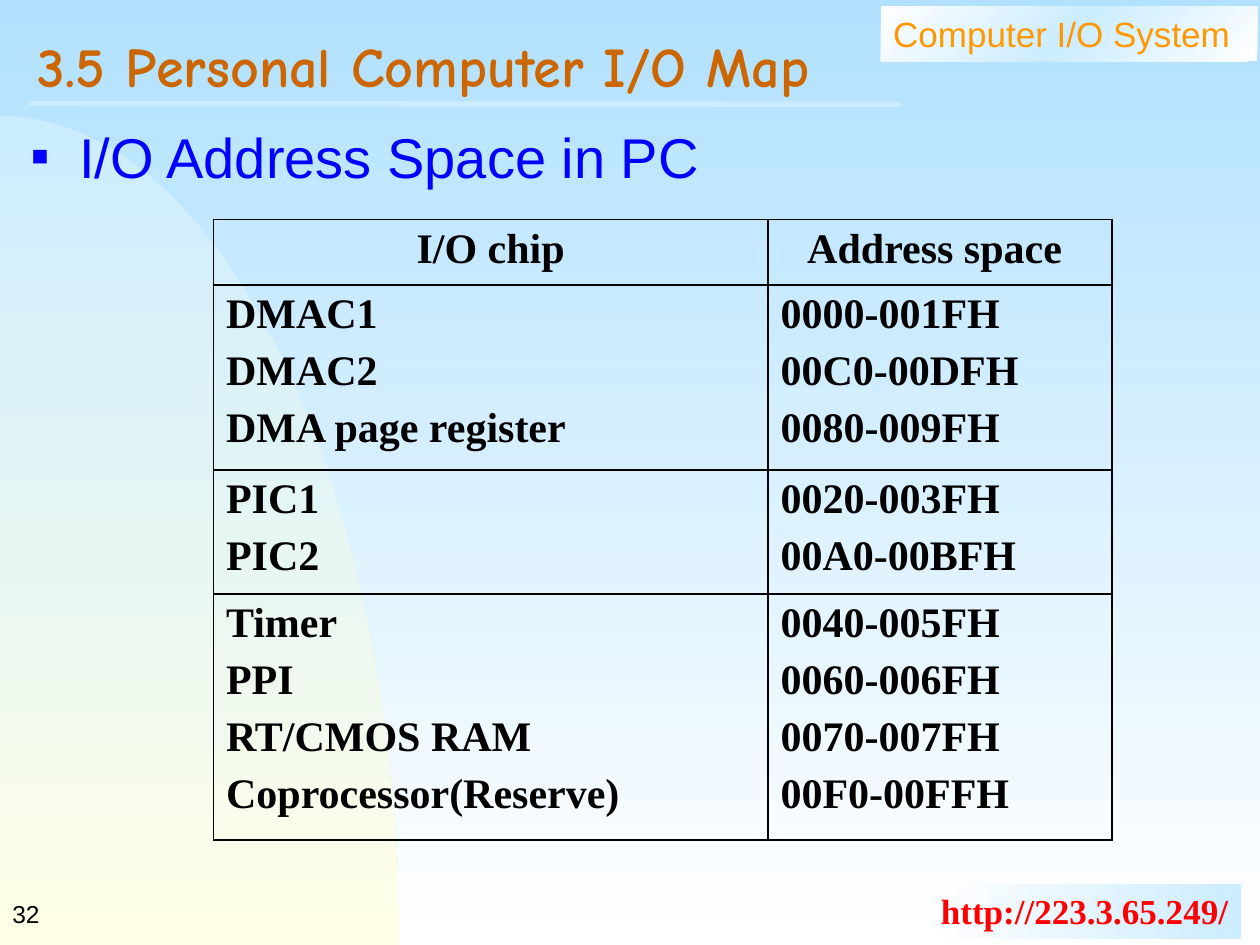
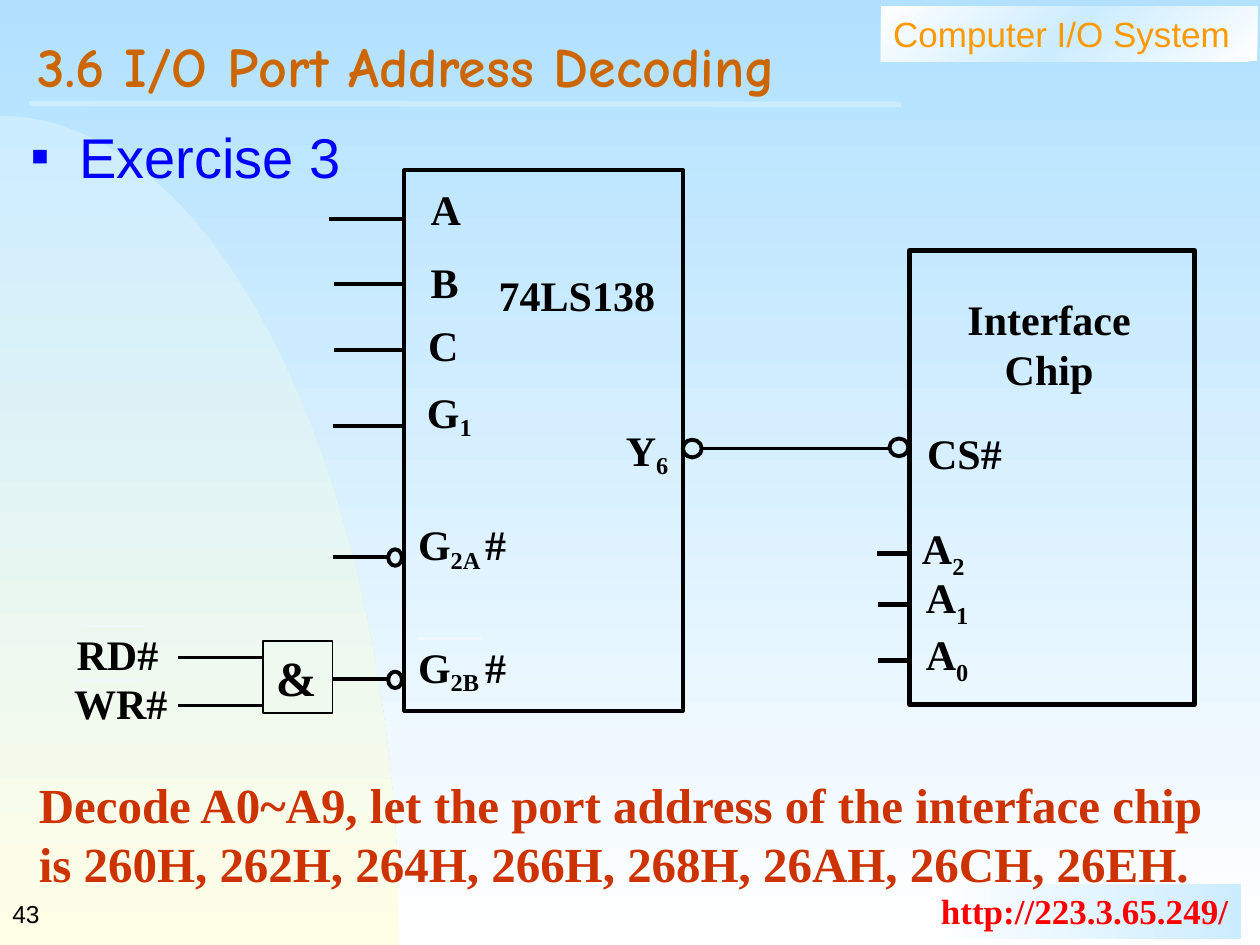
from math import cos, pi, sin

from lxml.etree import SubElement
from pptx import Presentation
from pptx.dml.color import RGBColor
from pptx.enum.shapes import MSO_CONNECTOR, MSO_SHAPE
from pptx.enum.text import MSO_ANCHOR, MSO_AUTO_SIZE, PP_ALIGN
from pptx.oxml.ns import qn
from pptx.util import Pt

SKY = RGBColor(0xB1, 0xE1, 0xFF)
ICE = RGBColor(0xCC, 0xEC, 0xFF)
MIST = RGBColor(0xF0, 0xF8, 0xFE)
CREAM = RGBColor(0xFF, 0xFF, 0xE7)
WHITE = RGBColor(0xFF, 0xFF, 0xFF)
BLACK = RGBColor(0, 0, 0)
BLUE = RGBColor(0, 0, 0xFF)
RED = RGBColor(0xFF, 0, 0)
RUST = RGBColor(0xCC, 0x33, 0)
BROWN = RGBColor(0xCC, 0x66, 0)
AMBER = RGBColor(0xFF, 0x99, 0)

SANS, SERIF, COMIC = "Arial", "Times New Roman", "Comic Neue"
WIDE, HIGH = 720, 540

COURSE = "Computer I/O System"
SITE = "http://223.3.65.249/"

MAP = {"title": "3.5 Personal Computer I/O Map", "point": "I/O Address Space in PC",
       "page": "32", "gap": 3}
PORTS = [
    [("I/O chip", "Address space ")],
    [("DMAC1", "0000-001FH"), ("DMAC2", "00C0-00DFH"),
     ("DMA page register", "0080-009FH")],
    [("PIC1", "0020-003FH"), ("PIC2", "00A0-00BFH")],
    [("Timer", "0040-005FH"), ("PPI", "0060-006FH"),
     ("RT/CMOS RAM", "0070-007FH"), ("Coprocessor(Reserve)", "00F0-00FFH")],
]
COLS = [316.8, 196.5]
ROWS = [37.4, 105.8, 70.6, 140.4]

DECODE = {"title": "3.6 I/O Port Address Decoding", "point": "Exercise 3",
          "page": "43", "gap": 8}
TASK = ("Decode A0~A9, let the port address of the interface chip "
        "is 260H, 262H, 264H, 266H, 268H, 26AH, 26CH, 26EH.")
BOXES = [
    (231.1, 97.2, 159.1, 308.9, 2.25),
    (519.8, 143.3, 162.7, 259.2, 3),
    (150.5, 366.5, 39.6, 41, 1),
]
RINGS = [
    (508.3, 250.6, 10.8, 10.1),
    (390.2, 251.3, 10.8, 10.1),
    (221.8, 313.9, 7.9, 9.4),
    (221.8, 383.8, 7.9, 9.4),
]
WIRES = [
    (2.25, BLACK, [(187.9, 231.1, 124.9), (190.8, 231.1, 162.4),
                   (190.8, 231.1, 199.8), (190.1, 229.7, 243.4),
                   (190.1, 221.8, 318.2), (190.1, 221.8, 388.1),
                   (400.3, 507.6, 256.3)]),
    (3, BLACK, [(501.1, 519.8, 316.1), (501.8, 521.3, 345.6),
                (501.8, 521.3, 377.3)]),
    (1.5, BLACK, [(101.5, 150.5, 375.8), (101.5, 150.5, 403.2)]),
    (1.5, MIST, [(238.3, 275.8, 365), (47.5, 84.2, 357.8),
                 (43.9, 80.6, 388.8)]),
]
PINS = [
    (("A",), 239, 101.5, 31.7), (("B",), 239, 143.3, 30.2),
    (("C",), 237.6, 179.3, 31.7), (("G", "1"), 236.9, 217.4, 48),
    (("G", "2A ", "#"), 231.8, 293, 68),
    (("G", "2B ", "#"), 231.8, 362.9, 68),
    (("Y", "6"), 350.6, 239, 42), (("74LS138",), 277.9, 150.5, 108),
    (("CS#",), 522.7, 240.5, 62), (("A", "2"), 519.8, 295.2, 42),
    (("A", "1"), 522, 323.3, 42), (("A", "0"), 522, 355.7, 42),
    (("RD#",), 36.7, 355.7, 65), (("WR#",), 35.3, 383.8, 71),
]


def paint(fill, root, angle, *tints):
    fill.gradient()
    fill.gradient_angle = -angle % 360
    stops = next(root.iter(qn("a:gsLst")))
    for stop in list(stops):
        stops.remove(stop)
    for n, tint in enumerate(tints):
        stop = SubElement(stops, qn("a:gs"), pos=str(n * 100000 // (len(tints) - 1)))
        SubElement(stop, qn("a:srgbClr"), val=str(tint))


def style(frame, size, tint, font=SERIF, bold=True, align=PP_ALIGN.LEFT):
    for para in frame.paragraphs:
        para.alignment = align
        for run in para.runs:
            face = run.font
            face.size, face.name, face.bold = Pt(size), font, bold
            face.color.rgb = tint


def place(shape, x, y, w, h):
    shape.left, shape.top, shape.width, shape.height = Pt(x), Pt(y), Pt(w), Pt(h)
    shape.text_frame.auto_size = MSO_AUTO_SIZE.NONE


def label(slide, text, x, y, w, h, size, tint, **look):
    box = slide.shapes.add_textbox(Pt(x), Pt(y), Pt(w), Pt(h))
    frame = box.text_frame
    frame.word_wrap = True
    frame.text = text
    style(frame, size, tint, **look)
    return box


def wire(slide, x, y, end, drop, width, tint):
    line = slide.shapes.add_connector(MSO_CONNECTOR.STRAIGHT, Pt(x), Pt(y), Pt(end), Pt(drop))
    line.line.width = Pt(width)
    line.line.color.rgb = tint
    SubElement(line._element.spPr, qn("a:effectLst"))
    return line


def ring(slide, kind, x, y, w, h, width):
    shape = slide.shapes.add_shape(kind, Pt(x), Pt(y), Pt(w), Pt(h))
    shape.shadow.inherit = False
    shape.fill.background()
    shape.line.color.rgb = BLACK
    shape.line.width = Pt(width)
    return shape


def band(slide, text, x, y, w, h, angle, tints, tint, **look):
    box = label(slide, text, x, y, w, h, 20, tint, **look)
    paint(box.fill, box._element, angle, *tints)
    return box


def leaf(slide):
    wide, high, steps = 228.2, 473.8, 60
    arc = [(Pt(wide * sin(t)), Pt(HIGH - high * cos(t)))
           for t in (pi / 2 * n / steps for n in range(steps + 1))]
    path = slide.shapes.build_freeform(*arc[0])
    path.add_line_segments(arc[1:] + [(0, Pt(HIGH))])
    shape = path.convert_to_shape()
    shape.shadow.inherit = False
    shape.line.fill.background()
    paint(shape.fill, shape._element, 90, ICE, CREAM)
    return shape


def theme(deck, slide):
    master = deck.slide_master
    paint(master.background.fill, master._element, 90, SKY, WHITE)
    parts = [
        leaf(slide),
        band(slide, COURSE, 503.3, 3.6, 215.3, 31.5, 45, (WHITE, ICE, WHITE), AMBER,
             font=SANS, bold=False),
        band(slide, SITE, 530.6, 504.9, 178.6, 31.5, 0, (WHITE, ICE), RED),
        wire(slide, 16.6, 59.2, 514.8, 59.6, 3, ICE),
    ]
    for n, part in enumerate(parts):
        item = part._element
        item.xpath(".//p:cNvPr")[0].set("id", str(100 + n))
        master.shapes._spTree.insert(2 + n, item)


def start(deck, info):
    slide = deck.slides.add_slide(deck.slide_layouts[1])
    title, body = slide.placeholders
    place(title, 14.4, 14.4, 687.6, 55.4)
    title.text_frame.text = info["title"]
    title.text_frame.vertical_anchor = MSO_ANCHOR.MIDDLE
    title.text_frame.paragraphs[0].line_spacing = 0.7
    style(title.text_frame, 32, BROWN, COMIC)

    place(body, 10.8, 66.2, 695, 432)
    body.text_frame.text = info["point"]
    style(body.text_frame, 32, BLUE, SANS, False)
    para = body.text_frame.paragraphs[0]
    para.space_before = Pt(info["gap"])
    props = para._p.get_or_add_pPr()
    props.set("marL", str(Pt(27.4)))
    props.set("indent", str(Pt(-27.4)))
    SubElement(SubElement(props, qn("a:buClr")), qn("a:srgbClr"), val=str(BLUE))
    SubElement(props, qn("a:buSzPct"), val="50000")
    SubElement(props, qn("a:buFont"), typeface=SANS)
    SubElement(props, qn("a:buChar"), char="■")

    page = label(slide, info["page"], 0, 504, 150, 36, 14, BLACK, font=SANS, bold=False)
    page.text_frame.vertical_anchor = MSO_ANCHOR.MIDDLE
    return slide


def border(cell):
    props = cell._tc.get_or_add_tcPr()
    for n, side in enumerate(("a:lnL", "a:lnR", "a:lnT", "a:lnB")):
        line = SubElement(props, qn(side), w=str(Pt(1.08)))
        SubElement(SubElement(line, qn("a:solidFill")), qn("a:srgbClr"), val=str(BLACK))
        props.insert(n, line)


def chart_ports(slide):
    grid = slide.shapes.add_table(len(ROWS), len(COLS), Pt(122), Pt(125.5),
                                  Pt(sum(COLS)), Pt(sum(ROWS))).table
    grid.first_row = grid.horz_banding = False
    for col, width in zip(grid.columns, COLS):
        col.width = Pt(width)
    for r, group in enumerate(PORTS):
        grid.rows[r].height = Pt(ROWS[r])
        for c, texts in enumerate(zip(*group)):
            cell = grid.cell(r, c)
            cell.fill.background()
            border(cell)
            cell.text_frame.text = "\n".join(texts)
            style(cell.text_frame, 24, BLACK,
                  align=PP_ALIGN.LEFT if r else PP_ALIGN.CENTER)
            for para in cell.text_frame.paragraphs:
                para.space_before = Pt(6)


def draw_pin(slide, parts, x, y, w):
    box = label(slide, parts[0], x, y, w, 36, 24, BLACK)
    para = box.text_frame.paragraphs[0]
    for part in parts[1:]:
        para.add_run().text = part
    style(box.text_frame, 24, BLACK)
    drop = "-25000" if parts[0] == "A" else "-20000"
    for run in para.runs[1:2]:
        run._r.get_or_add_rPr().set("baseline", drop)


def draw_decode(slide):
    label(slide, TASK, 15.1, 439.2, 681.8, 74.9, 28, RUST)
    *chips, gate = [ring(slide, MSO_SHAPE.RECTANGLE, *box) for box in BOXES]
    frame = gate.text_frame
    frame.text = "&"
    frame.vertical_anchor = MSO_ANCHOR.TOP
    style(frame, 28, BLACK)
    for spot in RINGS:
        ring(slide, MSO_SHAPE.OVAL, *spot, 2.25)
    for width, tint, runs in WIRES:
        for x, end, y in runs:
            wire(slide, x, y, end, y, width, tint)
    for pin in PINS:
        draw_pin(slide, *pin)
    label(slide, "Interface\nChip", 534.5, 164.2, 130, 64.8, 24, BLACK,
          align=PP_ALIGN.CENTER)


def main():
    deck = Presentation()
    deck.slide_width, deck.slide_height = Pt(WIDE), Pt(HIGH)
    first = start(deck, MAP)
    theme(deck, first)
    chart_ports(first)
    draw_decode(start(deck, DECODE))
    deck.save("out.pptx")


if __name__ == "__main__":
    main()
